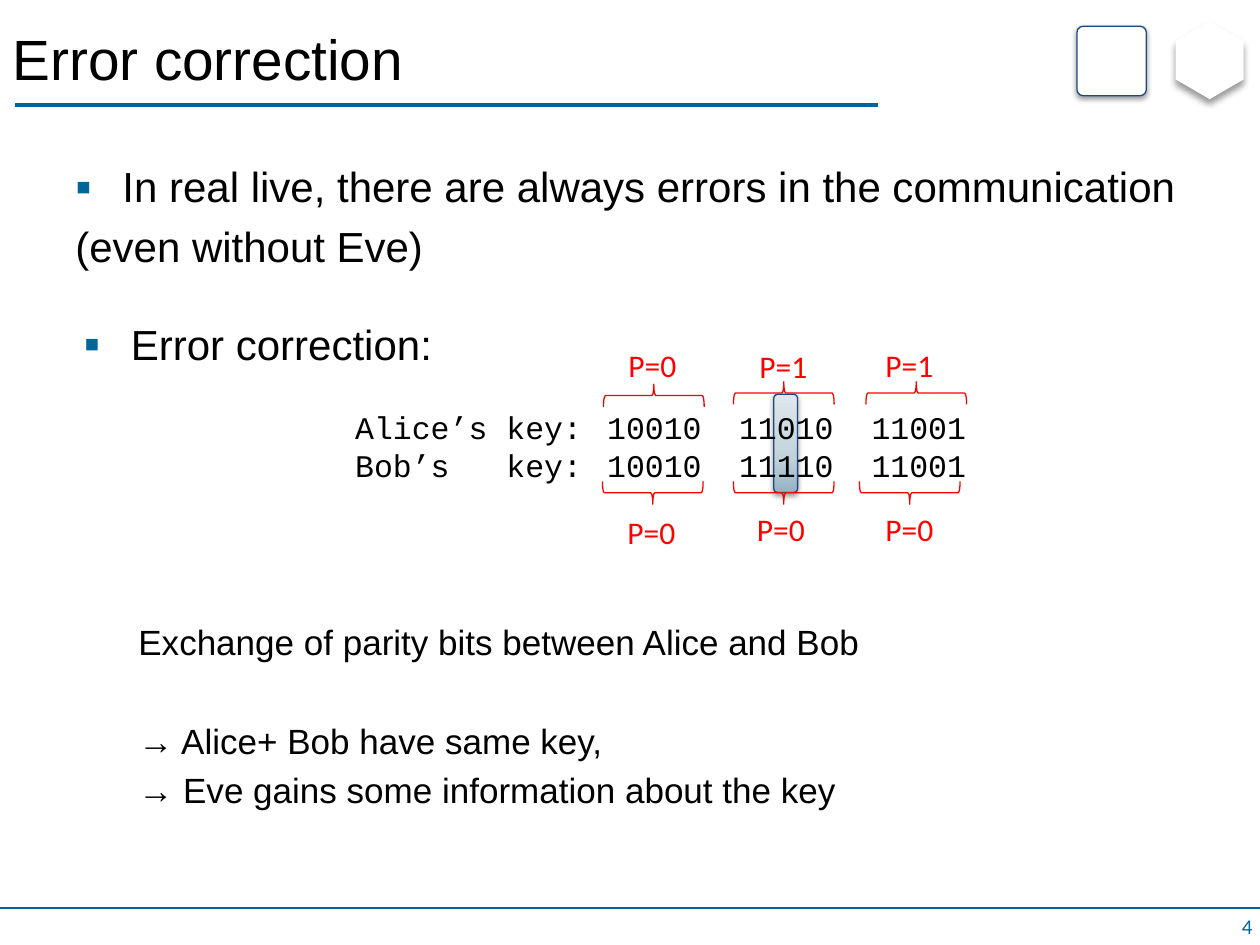
from lxml import etree
from copy import deepcopy
from pptx import Presentation
from pptx.dml.color import RGBColor
from pptx.enum.shapes import MSO_CONNECTOR, MSO_SHAPE
from pptx.enum.text import MSO_ANCHOR, PP_ALIGN
from pptx.oxml import parse_xml
from pptx.oxml.ns import nsdecls, qn
from pptx.util import Cm, Pt

BLACK = RGBColor(0, 0, 0)
WHITE = RGBColor(0xFF, 0xFF, 0xFF)
RED = RGBColor(0xFF, 0, 0)
NAVY = RGBColor(0x1F, 0x49, 0x7D)
RULE = RGBColor(0x00, 0x64, 0x96)
TEAL = RGBColor(0x00, 0x66, 0x99)
GRADIENT = [(0, RGBColor(0x95, 0xB2, 0xC2)), (0.35, RGBColor(0xC1, 0xD2, 0xDB)),
            (1, RGBColor(0xDE, 0xE7, 0xEC))]


def write(p, text, size=18, font="Arial", color=BLACK, before=0, indent=0,
          bullet=False, align=PP_ALIGN.LEFT):
    p.alignment = align
    p.space_before = Pt(before)
    pPr = p._p.get_or_add_pPr()
    pPr.set("marL", str(Cm(indent)))
    pPr.set("indent", str(Cm(-0.95) if bullet else 0))
    if bullet:
        for xml in (f'<a:buClr {nsdecls("a")}><a:srgbClr val="{TEAL}"/></a:buClr>',
                    f'<a:buSzPct {nsdecls("a")} val="110000"/>',
                    f'<a:buFont {nsdecls("a")} typeface="Arial"/>',
                    f'<a:buChar {nsdecls("a")} char="▪"/>'):
            pPr.append(parse_xml(xml))
    r = p.add_run()
    r.text = text
    r.font.size = Pt(size)
    r.font.name = font
    r.font.color.rgb = color


def add_shadow(sp, alpha, blur, dist):
    sp._element.spPr.append(parse_xml(
        f'<a:effectLst {nsdecls("a")}><a:outerShdw blurRad="{Pt(blur)}" dist="{Pt(dist)}" '
        f'dir="5400000" rotWithShape="0"><a:srgbClr val="000000">'
        f'<a:alpha val="{alpha * 1000}"/></a:srgbClr></a:outerShdw></a:effectLst>'))


prs = Presentation()
prs.slide_width, prs.slide_height = Cm(25.4), Cm(19.05)
s = prs.slides.add_slide(prs.slide_layouts[5])

# Emblems in the top right corner
sp = s.shapes.add_shape(MSO_SHAPE.ROUNDED_RECTANGLE, Cm(21.71), Cm(0.53), Cm(1.4), Cm(1.4))
sp.adjustments[0] = 0.09
sp.fill.solid()
sp.fill.fore_color.rgb = WHITE
sp.line.color.rgb = NAVY
sp.line.width = Pt(0.75)
add_shadow(sp, 38, 3.1, 1.6)

sp = s.shapes.add_shape(MSO_SHAPE.HEXAGON, Cm(23.6), Cm(0.53), Cm(1.57), Cm(1.37))
sp.rotation = 90
sp.adjustments[0] = 0.29
sp.fill.solid()
sp.fill.fore_color.rgb = WHITE
sp.line.fill.background()
add_shadow(sp, 40, 4, 3)

# Footer and title rules
for x1, x2, y, width in [(0, 25.4, 18.31, 1), (0.3, 17.7, 2.12, 2.25)]:
    line = s.shapes.add_connector(MSO_CONNECTOR.STRAIGHT, Cm(x1), Cm(y), Cm(x2), Cm(y))
    line.line.color.rgb = RULE
    line.line.width = Pt(width)
    etree.SubElement(line._element.spPr, qn("a:effectLst"))

# Slide number
tf = s.shapes.add_textbox(Cm(19.58), Cm(18.31), Cm(5.92), Cm(0.74)).text_frame
tf.word_wrap = True
tf.vertical_anchor = MSO_ANCHOR.MIDDLE
write(tf.paragraphs[0], "4", size=12, font="Calibri", color=TEAL, align=PP_ALIGN.RIGHT)

# Title
title = s.shapes.title
title.left, title.top, title.width, title.height = Cm(0), Cm(0.43), Cm(21.89), Cm(1.47)
title.text_frame.vertical_anchor = MSO_ANCHOR.MIDDLE
write(title.text_frame.paragraphs[0], "Error correction", size=32.4)

# Body
tf = s.shapes.add_textbox(Cm(1.27), Cm(3.12), Cm(23.57), Cm(13.61)).text_frame
tf.word_wrap = True
body = [
    ("In real live, there are always errors in the communication", 24, 0, 0.95, True),
    ("(even without Eve)", 24, 5, 0, False),
    ("Error correction:", 24, 27.5, 1.12, True),
    ("Exchange of parity bits between Alice and Bob", 20, 143.5, 1.27, False),
    ("→ Alice+ Bob have same key,", 20, 32.5, 1.27, False),
    ("→ Eve gains some information about the key", 20, 4, 1.27, False),
]
for i, (text, size, before, indent, bullet) in enumerate(body):
    p = tf.add_paragraph() if i else tf.paragraphs[0]
    write(p, text, size=size, before=before, indent=indent, bullet=bullet)

# Highlight of the differing bit
sp = s.shapes.add_shape(MSO_SHAPE.ROUNDED_RECTANGLE, Cm(15.6), Cm(7.95), Cm(0.48), Cm(1.98))
sp.fill.gradient()
sp.fill.gradient_angle = 90
gs_list = sp._element.spPr.find(qn("a:gradFill")).find(qn("a:gsLst"))
gs_list.insert(1, deepcopy(gs_list[0]))
for stop, (position, color) in zip(sp.fill.gradient_stops, GRADIENT):
    stop.position = position
    stop.color.rgb = color
sp.line.color.rgb = NAVY
sp.line.width = Pt(0.75)
add_shadow(sp, 38, 3.1, 1.6)

# Keys: one column per word or block, Alice above Bob
key_columns = [(6.91, "Alice’s", "Bob’s"), (9.96, "key:", "key:"),
               (11.99, "10010", "10010"), (14.65, "11010", "11110"),
               (17.32, "11001", "11001")]
for x, alice, bob in key_columns:
    tf = s.shapes.add_textbox(Cm(x), Cm(8.1), Cm(3.4), Cm(1.8)).text_frame
    tf.word_wrap = True
    write(tf.paragraphs[0], alice, font="Courier New")
    write(tf.add_paragraph(), bob, font="Courier New")

# Parity braces above and below each block
braces = [(12.95, 6.96, 90), (15.57, 6.91, 90), (18.24, 6.91, 90),
          (12.93, 8.92, 270), (15.57, 8.92, 270), (18.11, 8.92, 270)]
for x, y, rotation in braces:
    sp = s.shapes.add_shape(MSO_SHAPE.LEFT_BRACE, Cm(x), Cm(y), Cm(0.46), Cm(2.03))
    sp.rotation = rotation
    sp.shadow.inherit = False
    sp.fill.background()
    sp.line.color.rgb = RED
    sp.line.width = Pt(0.75)

parities = [("P=0", 12.42, 6.86), ("P=1", 15.06, 6.88), ("P=1", 17.6, 6.86),
            ("P=0", 12.4, 10.21), ("P=0", 15.01, 10.16), ("P=0", 17.6, 10.16)]
for text, x, y in parities:
    tf = s.shapes.add_textbox(Cm(x), Cm(y), Cm(1.7), Cm(1.02)).text_frame
    tf.word_wrap = True
    write(tf.paragraphs[0], text, font="Calibri", color=RED)

prs.save("out.pptx")
